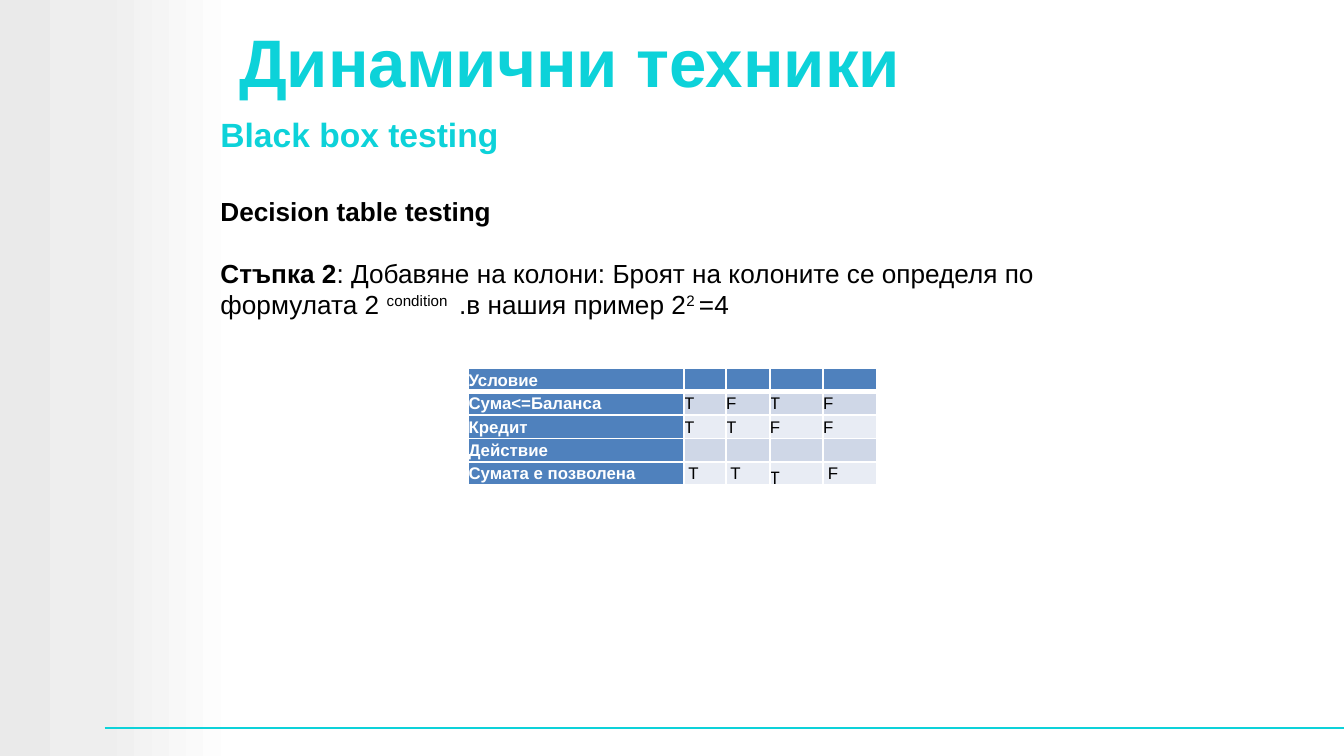
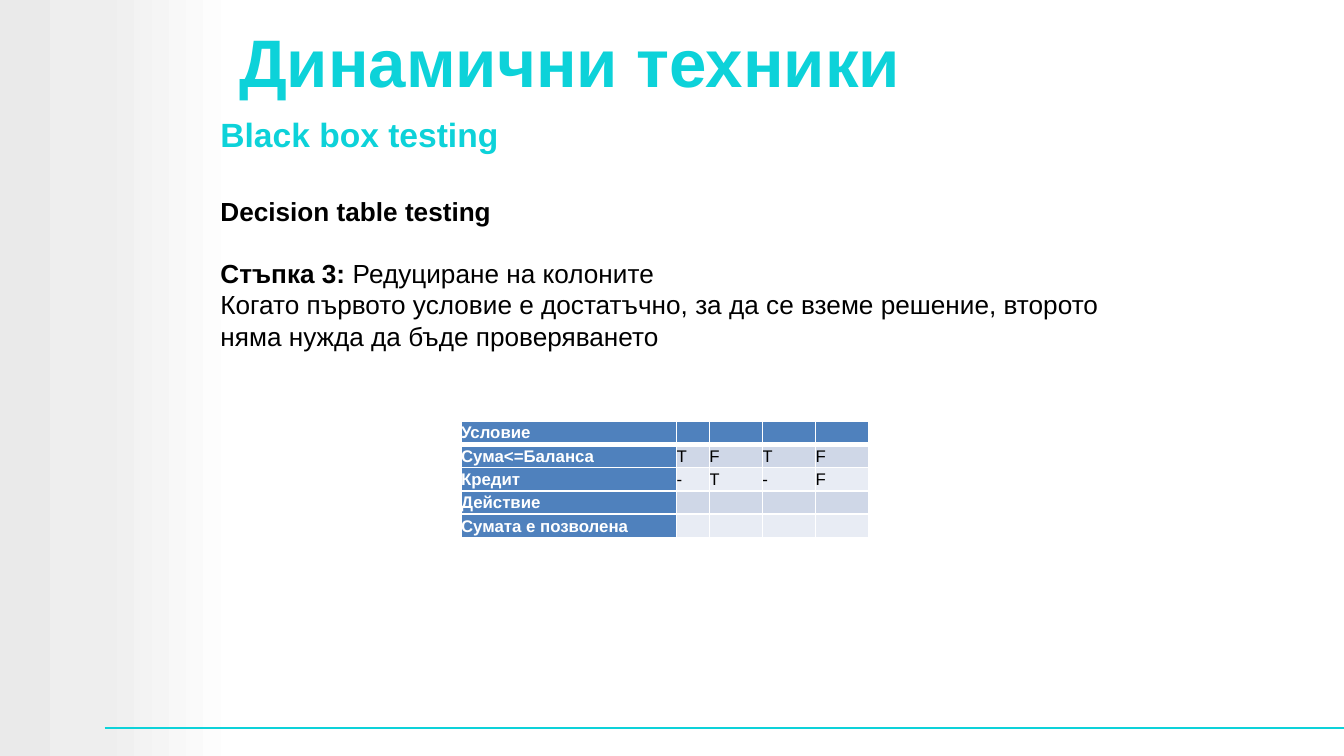
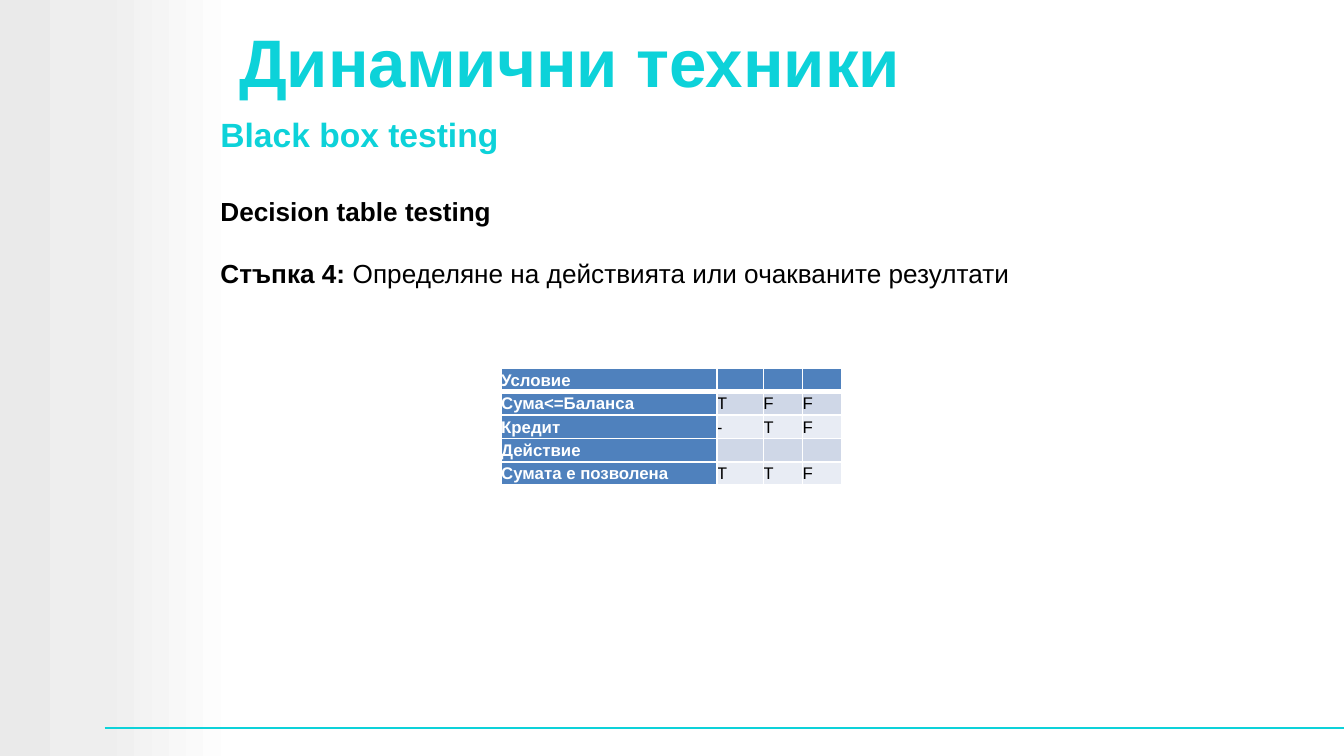
from lxml.etree import SubElement
from pptx import Presentation
from pptx.dml.color import RGBColor
from pptx.enum.shapes import MSO_CONNECTOR, MSO_SHAPE
from pptx.enum.text import MSO_ANCHOR
from pptx.oxml import parse_xml
from pptx.oxml.ns import nsdecls, qn
from pptx.util import Pt

FONT = "Arial"
ACCENT, BLACK, WHITE = "0DD2D9", "000000", "FFFFFF"
HEADER_FILL = "4F81BD"
BAND_FILLS = ("E8ECF4", "CFD7E7")
SIDE_STOPS = ((0, "EAEAEA"), (42, "EEEEEE"), (100, "FFFFFF"))
SLIDE_WIDTH, SLIDE_HEIGHT = 720, 405
TEXT_LEFT = 114.5
LABEL_WIDTH, ROW_HEIGHT = 115.5, 12.5
ROW_LABELS = ("Условие", "Сума<=Баланса", "Кредит", "Действие", "Сумата е позволена")


def color(hex_value):
    return RGBColor.from_string(hex_value)


def add_run(paragraph, text, size, hex_value, bold=False, superscript=False, font=FONT):
    run = paragraph.add_run()
    run.text = text
    run.font.name, run.font.size, run.font.bold = font, Pt(size), bold
    run.font.color.rgb = color(hex_value)
    if superscript:
        run._r.get_or_add_rPr().set("baseline", "30000")


def add_text_box(slide, left, top, width, height, anchor=MSO_ANCHOR.TOP):
    """Add an empty wrapping box and return its text frame."""
    frame = slide.shapes.add_textbox(Pt(left), Pt(top), Pt(width), Pt(height)).text_frame
    frame.word_wrap = True
    frame.vertical_anchor = anchor
    frame.margin_left = frame.margin_right = Pt(3.6)
    frame.margin_top = frame.margin_bottom = Pt(3.6)
    return frame


def add_side_band(slide):
    band = slide.shapes.add_shape(MSO_SHAPE.RECTANGLE, 0, 0, Pt(127.5), Pt(SLIDE_HEIGHT))
    band.shadow.inherit = False
    band.line.fill.background()
    band.fill.gradient()
    band.fill.gradient_angle = 0
    stops = band._element.spPr.find(qn("a:gradFill")).find(qn("a:gsLst"))
    stops.clear()
    for position, hex_value in SIDE_STOPS:
        stop = SubElement(stops, qn("a:gs"), pos=str(position * 1000))
        SubElement(stop, qn("a:srgbClr"), val=hex_value)


def add_footer_line(slide):
    line = slide.shapes.add_connector(
        MSO_CONNECTOR.STRAIGHT, Pt(56), Pt(390), Pt(SLIDE_WIDTH), Pt(390))
    line.line.color.rgb = color(ACCENT)
    line.line.width = Pt(1)
    SubElement(line._element.spPr, qn("a:effectLst"))


def add_step_text(slide, height, step_paragraphs):
    """Add the technique name and the step; each run is (text, style)."""
    frame = add_text_box(slide, TEXT_LEFT, 101, 497.5, height)
    add_run(frame.paragraphs[0], "Decision table testing", 14, BLACK, bold=True)
    for index, runs in enumerate(step_paragraphs):
        paragraph = frame.add_paragraph()
        if index == 0:
            paragraph.space_before = Pt(16.5)
        for text, style in runs:
            add_run(paragraph, text, 14, BLACK, **style)


def set_borders(cell, top, bottom):
    properties = cell._tc.get_or_add_tcPr()
    for side, width in (("L", 1), ("R", 1), ("T", top), ("B", bottom)):
        properties.append(parse_xml(
            f'<a:ln{side} {nsdecls("a")} w="{Pt(width)}"><a:solidFill>'
            f'<a:srgbClr val="{WHITE}"/></a:solidFill></a:ln{side}>'))


def fill_cell(cell, row, column, text, font):
    is_header = row == 0 or column == 0
    cell.margin_left = cell.margin_right = cell.margin_top = cell.margin_bottom = 0
    set_borders(cell, top=3 if row == 1 and column else 1, bottom=1 if row else 3)
    cell.fill.solid()
    cell.fill.fore_color.rgb = color(HEADER_FILL if is_header else BAND_FILLS[row % 2])
    paragraph = cell.text_frame.paragraphs[0]
    if text:
        paragraph.line_spacing = 1.15
        add_run(paragraph, text, 9, WHITE if is_header else BLACK, is_header, font=font)
    else:
        SubElement(paragraph._p, qn("a:endParaRPr"), sz="900")


def add_decision_table(slide, left, top, rule_widths, values, cell_fonts=None):
    """values maps a row label to its entries; other rows stay empty."""
    widths = (LABEL_WIDTH, *rule_widths)
    table = slide.shapes.add_table(
        len(ROW_LABELS), len(widths), Pt(left), Pt(top),
        Pt(sum(widths)), Pt(ROW_HEIGHT * len(ROW_LABELS))).table
    table.first_row = table.horz_banding = False
    for column, width in zip(table.columns, widths):
        column.width = Pt(width)
    for row, label in enumerate(ROW_LABELS):
        table.rows[row].height = Pt(ROW_HEIGHT)
        texts = (label, *values.get(label, [""] * len(rule_widths)))
        for column, text in enumerate(texts):
            font = (cell_fonts or {}).get((row, column), FONT)
            fill_cell(table.cell(row, column), row, column, text, font)


def add_technique_slide(presentation):
    """Add a slide with the shared band, line, title and subtitle."""
    slide = presentation.slides.add_slide(presentation.slide_layouts[6])
    add_side_band(slide)
    add_footer_line(slide)
    title = add_text_box(slide, 124.5, 2, 595.5, 61, MSO_ANCHOR.MIDDLE)
    add_run(title.paragraphs[0], "Динамични техники", 36, ACCENT, bold=True)
    subtitle = add_text_box(slide, TEXT_LEFT, 57.5, 435, 49)
    add_run(subtitle.paragraphs[0], "Black box testing", 18, ACCENT, bold=True)
    return slide


def main():
    presentation = Presentation()
    presentation.slide_width, presentation.slide_height = Pt(SLIDE_WIDTH), Pt(SLIDE_HEIGHT)
    plain, bold, raised = {}, {"bold": True}, {"superscript": True}
    _, amount, credit, _, allowed = ROW_LABELS

    slide = add_technique_slide(presentation)
    add_step_text(slide, 119, [[
        ("Стъпка 2", bold),
        (": Добавяне на колони: Броят на колоните се определя по формулата 2 ", plain),
        ("condition ", raised), (" .в нашия пример 2", plain),
        ("2 ", raised), ("=4", plain)]])
    add_decision_table(slide, 251, 197.5, (22.5, 23.5, 28.5, 28.5), {
        amount: ("Т", "F", "T", "F"),
        credit: ("T", "T", "F", "F"),
        allowed: (" T", " T", "T", " F")}, {(4, 3): "Noto Sans CJK KR"})

    slide = add_technique_slide(presentation)
    add_step_text(slide, 134.5, [
        [("Стъпка 3:", bold), (" Редуциране на колоните", plain)],
        [("Когато първото условие е достатъчно, за да се вземе решение, "
          "второто няма нужда да бъде проверяването", plain)]])
    add_decision_table(slide, 247, 225.5, (17.5, 28.5, 28.5, 28.5), {
        amount: ("Т", "F", "T", "F"),
        credit: ("-", "T", "-", "F")})

    slide = add_technique_slide(presentation)
    add_step_text(slide, 103, [[
        ("Стъпка 4:", bold),
        (" Определяне на действията или очакваните резултати", plain)]])
    add_decision_table(slide, 268.5, 197.5, (25, 21, 21), {
        amount: ("Т", "F", "F"),
        credit: ("-", "T", "F"),
        allowed: ("Т", "T", "F")})

    presentation.save("out.pptx")


if __name__ == "__main__":
    main()
